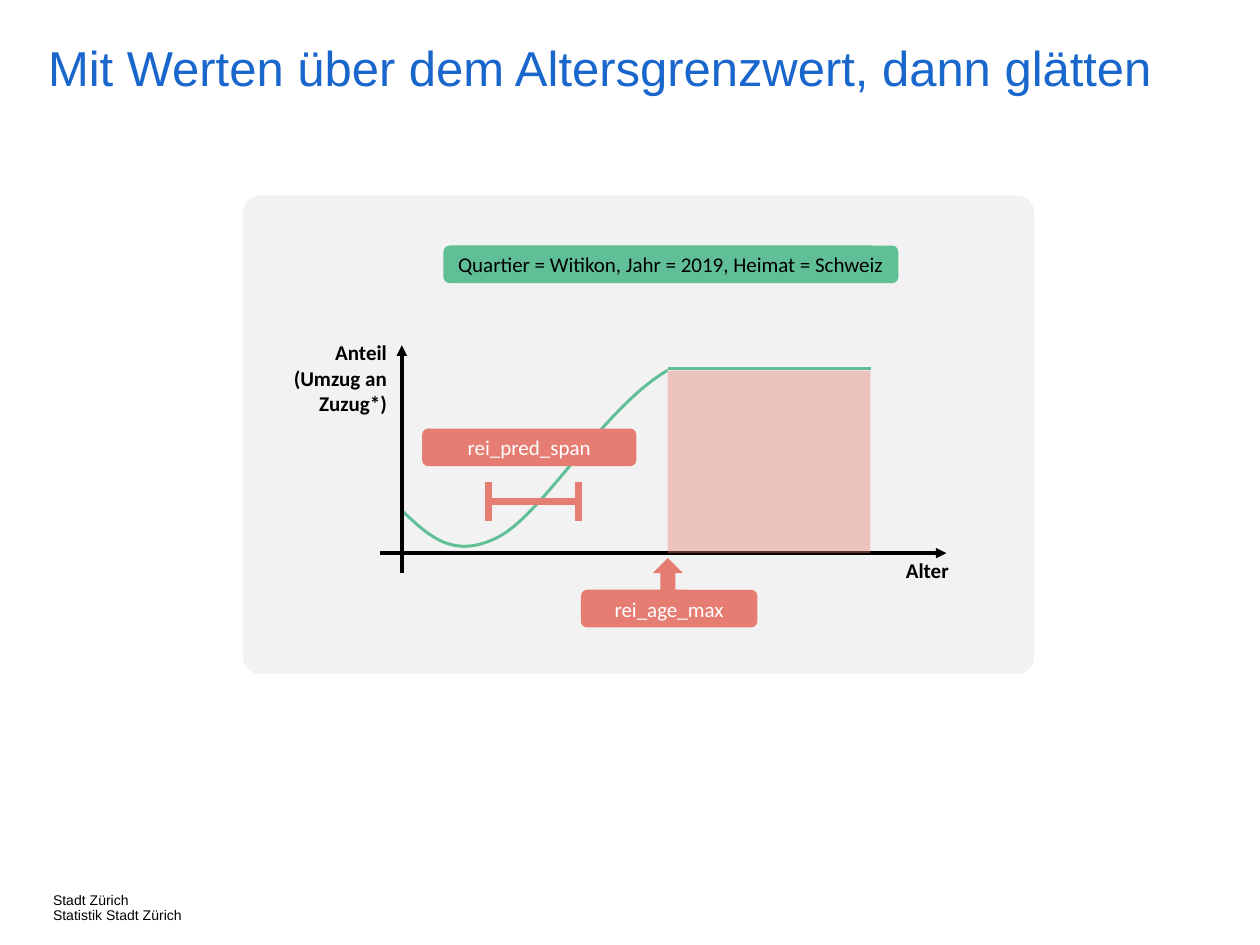
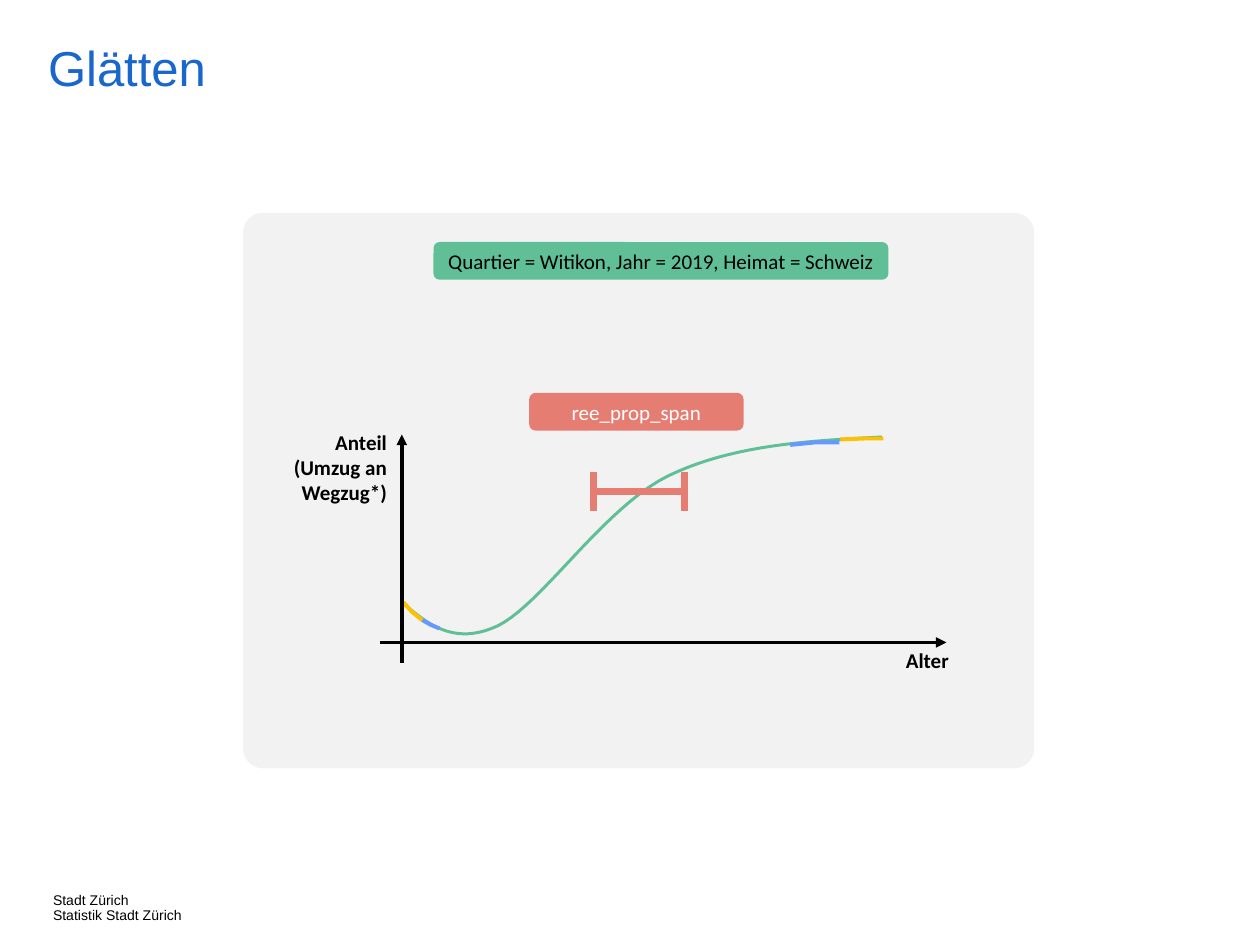
from lxml import etree
from pptx import Presentation
from pptx.dml.color import RGBColor
from pptx.enum.shapes import MSO_CONNECTOR, MSO_SHAPE
from pptx.enum.text import MSO_ANCHOR, MSO_AUTO_SIZE, PP_ALIGN
from pptx.oxml.ns import qn
from pptx.util import Cm, Pt

BLACK = RGBColor(0x00, 0x00, 0x00)
WHITE = RGBColor(0xFF, 0xFF, 0xFF)
TITLE_BLUE = RGBColor(0x19, 0x66, 0xCC)
PANEL_GREY = RGBColor(0xF2, 0xF2, 0xF2)
GREEN = RGBColor(0x60, 0xBF, 0x97)
CORAL = RGBColor(0xE6, 0x7D, 0x73)
BLUE = RGBColor(0x66, 0x99, 0xFF)
YELLOW = RGBColor(0xFF, 0xC0, 0x00)

ROUNDED = MSO_SHAPE.ROUNDED_RECTANGLE
RECTANGLE = MSO_SHAPE.RECTANGLE
UP_ARROW = MSO_SHAPE.UP_ARROW
STRAIGHT = MSO_CONNECTOR.STRAIGHT
LEFT, CENTER, RIGHT = PP_ALIGN.LEFT, PP_ALIGN.CENTER, PP_ALIGN.RIGHT
TOP, MIDDLE = MSO_ANCHOR.TOP, MSO_ANCHOR.MIDDLE
NO_AUTOFIT = MSO_AUTO_SIZE.NONE

TITLE_ONLY = 5
AXIS_X = 8.1
PILL_H = 0.76
CAP = 0.39
CURVE_STEPS = 20

# What differs between the slides; lengths in cm, curves as Bézier points
SLIDES = [
    {
        "title": "Mit Werten über dem Altersgrenzwert, dann glätten",
        "title_w": 23.72,
        "panel": (3.94, 9.65),
        "curve": [(8.1, 10.29), (8.64, 10.8), (9.14, 11.3), (10.06, 10.82),
                  (10.97, 10.34), (12.22, 8.13), (13.54, 7.42),
                  (14.86, 6.68), (16.41, 6.6), (17.93, 6.53)],
        "ends": [],
        "axis_y": 11.15,
        "share": "Anteil\v(Umzug an Zuzug*)",
        "condition": (8.94, 4.95),
        "span": (9.84, 11.66, 10.11),
        "parameter": ("rei_pred_span", 8.51, 8.64),
        "age_limit": 13.46,
    },
    {
        "title": "Glätten",
        "title_w": 21.34,
        "panel": (4.29, 11.2),
        "curve": [(8.1, 12.14), (8.61, 12.57), (9.14, 13.03), (10.03, 12.62),
                  (10.92, 12.19), (12.17, 10.24), (13.46, 9.6),
                  (14.76, 8.97), (16.26, 8.89), (17.78, 8.81)],
        "ends": [
            (BLUE, [(15.93, 8.97), (16.43, 8.92), (16.92, 8.92)]),
            (YELLOW, [(16.94, 8.86), (17.45, 8.84), (17.81, 8.84)]),
            (BLUE, [(8.51, 12.5), (8.69, 12.6), (8.86, 12.67)]),
            (YELLOW, [(8.13, 12.14), (8.31, 12.34), (8.51, 12.5)]),
        ],
        "axis_y": 12.95,
        "share": "Anteil\v(Umzug an Wegzug*)",
        "condition": (8.74, 4.88),
        "span": (11.97, 13.8, 9.91),
        "parameter": ("ree_prop_span", 10.67, 7.92),
        "age_limit": None,
    },
]


def add_box(slide, kind, x, y, w, h, fill, text="", color=WHITE):
    sp = slide.shapes.add_shape(kind, Cm(x), Cm(y), Cm(w), Cm(h))
    sp.shadow.inherit = False
    sp.fill.solid()
    sp.fill.fore_color.rgb = fill
    sp.line.fill.background()
    if text:
        tf = sp.text_frame
        tf.word_wrap = False
        tf.vertical_anchor = MIDDLE
        tf.text = text
        p = tf.paragraphs[0]
        p.alignment = CENTER
        p.font.name, p.font.size, p.font.color.rgb = "Calibri", Pt(12), color
    return sp


def add_line(slide, x1, y1, x2, y2, color, width, arrow=False):
    line = slide.shapes.add_connector(STRAIGHT, Cm(x1), Cm(y1), Cm(x2), Cm(y2))
    line.line.color.rgb = color
    line.line.width = Pt(width)
    if arrow:
        etree.SubElement(line.line._get_or_add_ln(), qn("a:tailEnd"), type="triangle")
    etree.SubElement(line._element.spPr, qn("a:effectLst"))


prs = Presentation()
prs.slide_width, prs.slide_height = Cm(25.4), Cm(19.05)

for data in SLIDES:
    slide = prs.slides.add_slide(prs.slide_layouts[TITLE_ONLY])

    # Panel
    panel_y, panel_h = data["panel"]
    panel = add_box(slide, ROUNDED, 4.9, panel_y, 15.95, panel_h, PANEL_GREY)
    panel.adjustments[0] = 0.036

    # Title and footer
    title = slide.shapes.title
    title.left, title.top = Cm(0.97), Cm(0.89)
    title.width, title.height = Cm(data["title_w"]), Cm(1.63)
    footer = slide.shapes.add_textbox(Cm(1.07), Cm(18.01), Cm(3.33), Cm(0.51))
    for sp, text, size, color in [
        (title, data["title"], 28, TITLE_BLUE),
        (footer, "Stadt Zürich\nStatistik Stadt Zürich", 8, BLACK),
    ]:
        tf = sp.text_frame
        tf.text = text
        tf.word_wrap = True
        tf.auto_size = NO_AUTOFIT
        tf.vertical_anchor = TOP
        tf.margin_left = tf.margin_right = tf.margin_top = tf.margin_bottom = 0
        for p in tf.paragraphs:
            p.alignment = LEFT
            p.line_spacing = 0.9
            p.font.name, p.font.size, p.font.color.rgb = "Arial", Pt(size), color

    # Curve and its coloured ends
    bezier = data["curve"]
    curve = [bezier[0]]
    for i in range(0, len(bezier) - 1, 3):
        a, b, c, d = bezier[i:i + 4]
        for step in range(1, CURVE_STEPS + 1):
            t = step / CURVE_STEPS
            u = 1 - t
            curve.append(tuple(
                u**3 * a[k] + 3 * u**2 * t * b[k] + 3 * u * t**2 * c[k] + t**3 * d[k]
                for k in range(2)))
    strokes = [(GREEN, 1.7, curve)]
    strokes += [(color, 2.25, points) for color, points in data["ends"]]
    for color, width, points in strokes:
        points = [(Cm(x), Cm(y)) for x, y in points]
        builder = slide.shapes.build_freeform(*points[0])
        builder.add_line_segments(points[1:], close=False)
        sp = builder.convert_to_shape()
        sp.shadow.inherit = False
        sp.fill.background()
        sp.line.color.rgb = color
        sp.line.width = Pt(width)

    # Axes with labels
    axis_y = data["axis_y"]
    add_line(slide, 7.67, axis_y, 19.08, axis_y, BLACK, 2, arrow=True)
    add_line(slide, AXIS_X, axis_y + 0.41, AXIS_X, axis_y - 4.19, BLACK, 2, arrow=True)
    for text, x, y, h, align in [
        ("Alter", 17.12, axis_y - 0.03, PILL_H, CENTER),
        (data["share"], 4.9, axis_y - 4.42, 1.8, RIGHT),
    ]:
        tf = slide.shapes.add_textbox(Cm(x), Cm(y), Cm(3.15), Cm(h)).text_frame
        tf.word_wrap = True
        p = tf.paragraphs[0]
        p.text = text
        p.alignment = align
        p.font.name, p.font.size, p.font.bold = "Calibri", Pt(12), True
        p.font.color.rgb = BLACK

    # Condition
    add_box(slide, ROUNDED, *data["condition"], 9.17, PILL_H, GREEN,
            "Quartier = Witikon, Jahr = 2019, Heimat = Schweiz", BLACK)

    # Smoothing span
    x1, x2, y = data["span"]
    add_line(slide, x1, y, x2, y, CORAL, 4)
    for x in (x1, x2):
        add_line(slide, x, y - CAP, x, y + CAP, CORAL, 4)

    # Constant value above the age limit
    limit = data["age_limit"]
    if limit:
        add_box(slide, RECTANGLE, limit, 6.07, 4.8, 1.68, PANEL_GREY)
        area = add_box(slide, RECTANGLE, limit, 7.47, 4.09, axis_y - 7.47, CORAL)
        rgb = area._element.spPr.find(qn("a:solidFill")).find(qn("a:srgbClr"))
        etree.SubElement(rgb, qn("a:alpha"), val="40000")
        add_line(slide, limit, 7.42, limit + 4.09, 7.42, GREEN, 1.7)
        add_box(slide, UP_ARROW, limit - 0.3, 11.25, 0.61, 0.71, CORAL)
        add_box(slide, ROUNDED, 11.71, 11.89, 3.56, PILL_H, CORAL, "rei_age_max")

    # Parameter name
    name, x, y = data["parameter"]
    add_box(slide, ROUNDED, x, y, 4.32, PILL_H, CORAL, name)

prs.save("out.pptx")
